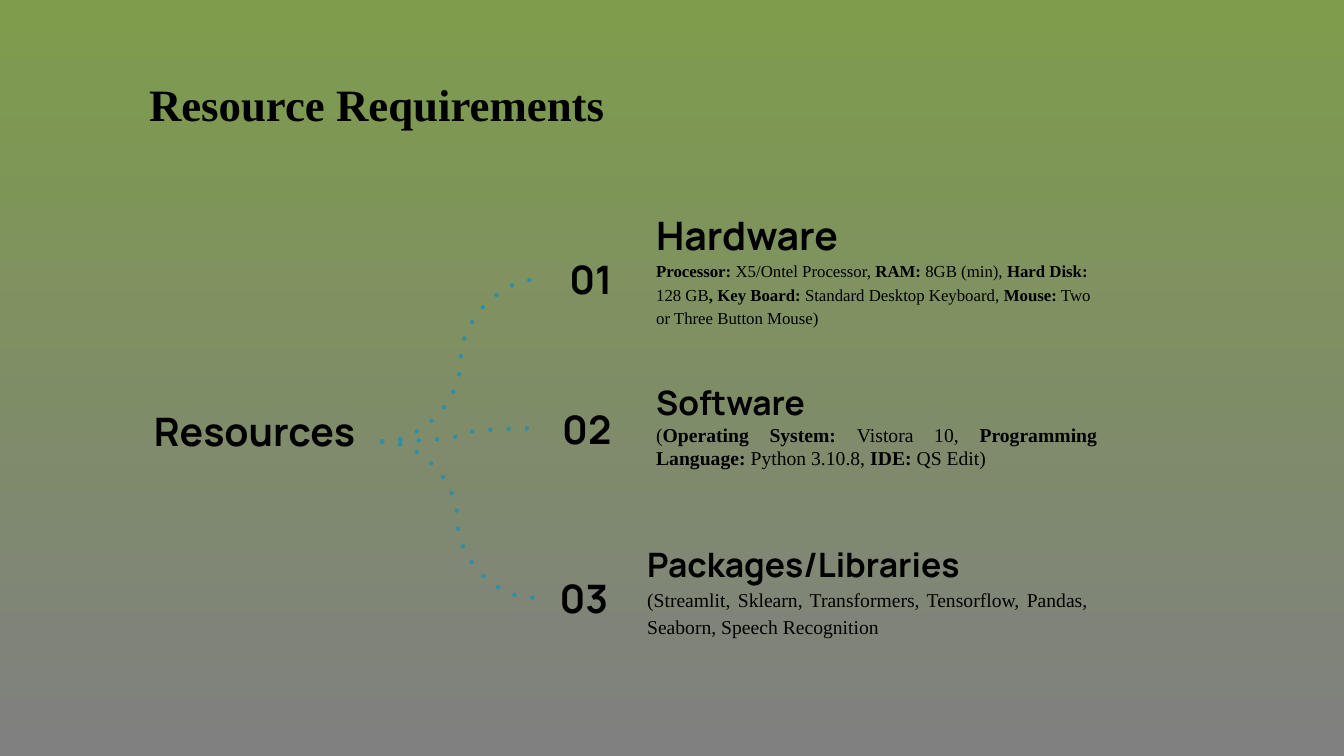
from dataclasses import dataclass

from lxml import etree
from pptx import Presentation
from pptx.dml.color import RGBColor
from pptx.enum.shapes import MSO_CONNECTOR, MSO_SHAPE
from pptx.enum.text import MSO_ANCHOR, PP_ALIGN
from pptx.oxml.ns import qn
from pptx.shapes.base import BaseShape
from pptx.text.text import TextFrame, _Paragraph
from pptx.util import Emu, Pt

PX = 9144  # 100 px to the inch
INSET = 10
LEFT, CENTER, JUSTIFY = PP_ALIGN.LEFT, PP_ALIGN.CENTER, PP_ALIGN.JUSTIFY
TOP, MIDDLE, BOTTOM = MSO_ANCHOR.TOP, MSO_ANCHOR.MIDDLE, MSO_ANCHOR.BOTTOM
ELLIPSE, CURVE = MSO_SHAPE.OVAL, MSO_CONNECTOR.CURVE


@dataclass(frozen=True)
class Theme:
    ink: RGBColor = RGBColor(0x00, 0x00, 0x00)
    branch: RGBColor = RGBColor(0x32, 0x8E, 0xA0)
    sky: RGBColor = RGBColor(0x7E, 0x9C, 0x4C)
    ground: RGBColor = RGBColor(0x80, 0x80, 0x80)
    serif: str = "Times New Roman"
    display: str = "Manrope"
    title: float = 32
    label: float = 28
    heading: float = 24
    body: float = 14
    small: float = 12
    dots: float = 3.25


THEME = Theme()


@dataclass(frozen=True)
class Area:
    left: int
    top: int
    width: int
    height: int


@dataclass(frozen=True)
class Span:
    text: str
    bold: bool = False


@dataclass(frozen=True)
class Line:
    """One paragraph in a single font and size."""
    spans: tuple[Span, ...]
    font: str
    size: float
    align: PP_ALIGN = LEFT
    spacing: float = 1.15


@dataclass(frozen=True)
class Resource:
    number: str
    badge: Area
    area: Area
    lines: tuple[Line, ...]
    bottom_inset: int = INSET


def heading(text: str, size: float, align: PP_ALIGN = LEFT, spacing: float = 1.15) -> Line:
    return Line((Span(text, True),), THEME.display, size, align, spacing)


TITLE = Line((Span("Resource Requirements", True),), THEME.serif, THEME.title, spacing=1.5)
TITLE_AREA = Area(138, 39, 1030, 83)
ROOT_AREA = Area(126, 387, 253, 104)
ROOT_EXIT = (379, 438)

RESOURCES = (
    Resource("01", Area(535, 232, 102, 90), Area(641, 197, 457, 138), (
        heading("Hardware", THEME.label),
        Line((Span("Processor: ", True), Span("X5/Ontel Processor, "),
              Span("RAM:", True), Span(" 8GB (min), "),
              Span("Hard Disk: ", True), Span("128 GB"),
              Span(", Key Board:", True), Span(" Standard Desktop Keyboard, "),
              Span("Mouse:", True), Span(" Two or Three Button Mouse)")),
             THEME.serif, THEME.small),
    )),
    Resource("02", Area(531, 380, 102, 90), Area(641, 373, 457, 120), (
        heading("Software", THEME.heading),
        Line((Span("("), Span("Operating System: ", True), Span("Vistora 10, "),
              Span("Programming Language: ", True), Span("Python 3.10.8, "),
              Span("IDE: ", True), Span("QS Edit)")),
             THEME.serif, THEME.body, JUSTIFY, 1.0),
    ), 27),
    Resource("03", Area(528, 548, 102, 90), Area(632, 533, 457, 130), (
        heading("Packages/Libraries", THEME.heading, JUSTIFY),
        Line((Span("(Streamlit, Sklearn, Transformers, Tensorflow, Pandas, "
                   "Seaborn, Speech Recognition"),),
             THEME.serif, THEME.body, JUSTIFY),
    ), 30),
)


def px(length: int) -> Emu:
    return Emu(length * PX)


def bounds(area: Area) -> tuple[Emu, Emu, Emu, Emu]:
    return px(area.left), px(area.top), px(area.width), px(area.height)


def fill_paragraph(paragraph: _Paragraph, line: Line) -> None:
    paragraph.alignment = line.align
    paragraph.line_spacing = line.spacing
    for span in line.spans:
        run = paragraph.add_run()
        run.text = span.text
        run.font.name = line.font
        run.font.size = Pt(line.size)
        run.font.bold = span.bold
        run.font.color.rgb = THEME.ink


def fill_frame(frame: TextFrame, lines: tuple[Line, ...], anchor: MSO_ANCHOR,
               bottom_inset: int = INSET) -> None:
    frame.word_wrap = True
    frame.vertical_anchor = anchor
    frame.margin_left = frame.margin_right = frame.margin_top = px(INSET)
    frame.margin_bottom = px(bottom_inset)
    for index, line in enumerate(lines):
        paragraph = frame.add_paragraph() if index else frame.paragraphs[0]
        fill_paragraph(paragraph, line)


def add_text(page, area: Area, lines: tuple[Line, ...], anchor: MSO_ANCHOR = TOP,
             bottom_inset: int = INSET) -> BaseShape:
    box = page.shapes.add_textbox(*bounds(area))
    fill_frame(box.text_frame, lines, anchor, bottom_inset)
    return box


def add_badge(page, resource: Resource) -> None:
    badge = page.shapes.add_shape(ELLIPSE, *bounds(resource.badge))
    badge.shadow.inherit = False
    badge.fill.background()
    badge.line.fill.background()
    label = heading(resource.number, THEME.label, CENTER, 1.0)
    fill_frame(badge.text_frame, (label,), MIDDLE)


def add_branch(page, badge: Area) -> None:
    """Draw a dotted curve from the root label to the left of a badge."""
    start_x, start_y = ROOT_EXIT
    branch = page.shapes.add_connector(
        CURVE, px(start_x), px(start_y), px(badge.left), px(badge.top + badge.height // 2))
    branch.line.color.rgb = THEME.branch
    branch.line.width = Pt(THEME.dots)
    outline = branch.get_or_add_ln()
    outline.set("cap", "rnd")
    etree.SubElement(outline, qn("a:prstDash")).set("val", "dot")
    etree.SubElement(branch.element.spPr, qn("a:effectLst"))


def paint_background(page) -> None:
    fill = page.background.fill
    fill.gradient()
    fill.gradient_angle = 270
    for stop, color in zip(fill.gradient_stops, (THEME.sky, THEME.ground)):
        stop.color.rgb = color


def main() -> None:
    deck = Presentation()
    deck.slide_width, deck.slide_height = px(1333), px(750)
    page = deck.slides.add_slide(deck.slide_layouts[6])
    paint_background(page)
    add_text(page, TITLE_AREA, (TITLE,))
    add_text(page, ROOT_AREA, (heading("Resources", THEME.label, CENTER),))
    for resource in RESOURCES:
        add_badge(page, resource)
        add_text(page, resource.area, resource.lines, BOTTOM, resource.bottom_inset)
        add_branch(page, resource.badge)
    deck.save("out.pptx")


if __name__ == "__main__":
    main()
